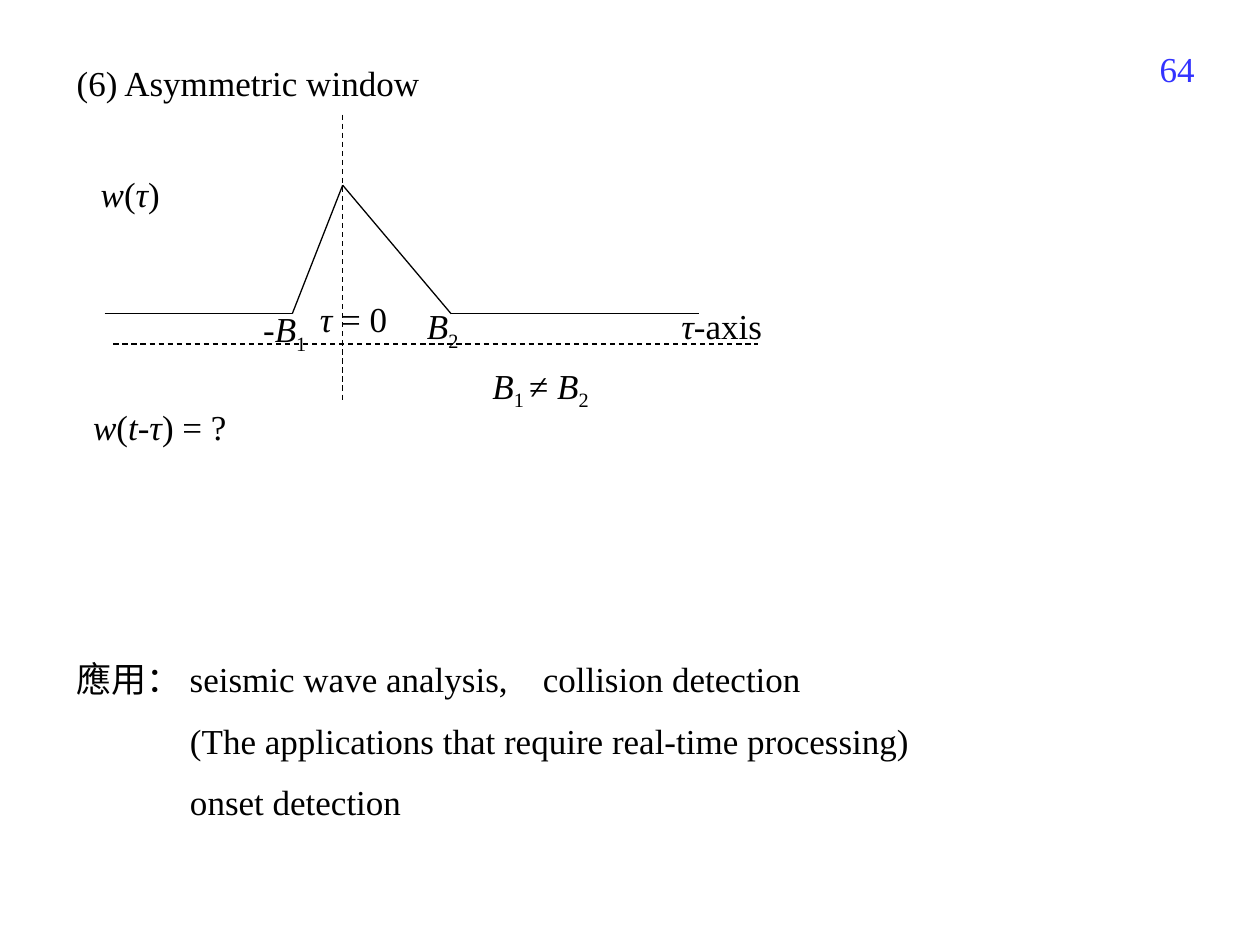
"""Build the slide on the asymmetric window."""
import itertools
from dataclasses import dataclass

import pptx
import pptx.dml.color
import pptx.enum.dml
import pptx.enum.shapes
import pptx.enum.text
import pptx.oxml
import pptx.oxml.ns
import pptx.util

Inches = pptx.util.Inches
Align = pptx.enum.text.PP_ALIGN
Anchor = pptx.enum.text.MSO_ANCHOR
Dash = pptx.enum.dml.MSO_LINE


@dataclass(frozen=True)
class Theme:
    """Colours, type and line sizes of the slide."""

    font: str = "Times New Roman"
    size: float = 20
    ink: str = "000000"
    number: str = "3333FF"
    line: float = 0.75
    paragraph_gap: float = 11.2


THEME = Theme()


def colour(code):
    """Return the colour for a hex code."""
    return pptx.dml.color.RGBColor.from_string(code)


def add_text(page, box, *lines, ink=THEME.ink, align=Align.LEFT,
             anchor=Anchor.TOP, indent=0, tab=None):
    """Place lines of text; *x* is italic, _x_ subscript; indent skips the first line."""
    frame = page.shapes.add_textbox(*map(Inches, box)).text_frame
    frame.word_wrap = True
    frame.vertical_anchor = anchor
    for index, line in enumerate(lines):
        para = frame.paragraphs[0] if index == 0 else frame.add_paragraph()
        para.alignment = align
        properties = para._p.get_or_add_pPr()
        if index:
            para.space_before = pptx.util.Pt(THEME.paragraph_gap)
            properties.set("marL", str(Inches(indent)))
        elif tab:
            stops = pptx.oxml.parse_xml(
                f'<a:tabLst {pptx.oxml.ns.nsdecls("a")}>'
                f'<a:tab pos="{Inches(tab)}" algn="l"/></a:tabLst>')
            properties.append(stops)
        add_spans(para, line, ink)


def add_spans(para, line, ink):
    """Add the plain, italic and subscript spans of one marked line."""
    for i, part in enumerate(line.split("*")):
        for j, text in enumerate(part.split("_")):
            if not text:
                continue
            span = para.add_run()
            span.text = text
            span.font.name = THEME.font
            span.font.size = pptx.util.Pt(THEME.size)
            span.font.italic = i % 2 == 1
            span.font.color.rgb = colour(ink)
            if j % 2:
                span._r.get_or_add_rPr().set("baseline", "-25000")


def add_line(page, start, end, dash=None):
    """Draw a thin straight line between two points."""
    line = page.shapes.add_connector(
        pptx.enum.shapes.MSO_CONNECTOR.STRAIGHT, *map(Inches, (*start, *end)))
    line.line.color.rgb = colour(THEME.ink)
    line.line.width = pptx.util.Pt(THEME.line)
    if dash:
        line.line.dash_style = dash
    line._element.spPr.append(
        pptx.oxml.parse_xml(f'<a:effectLst {pptx.oxml.ns.nsdecls("a")}/>'))


def add_header(page, box):
    """Place the heading and the page number."""
    left, top, width, height = box
    add_text(page, (left + width - 0.88, top, 0.88, 0.52), "64",
             ink=THEME.number, align=Align.RIGHT, anchor=Anchor.MIDDLE)
    add_text(page, (left, top + 0.16, 6.77, 0.43), "(6) Asymmetric window")


def add_window_plot(page, box):
    """Draw the asymmetric window, its axes and its labels."""
    left, top, width, height = box
    base, peak_x = top + 1.58, left + 2.08
    outline = [(left + 0.19, base), (left + 1.68, base), (peak_x, top + 0.56),
               (left + 2.94, base), (left + 4.91, base)]
    for start, end in itertools.pairwise(outline):
        add_line(page, start, end)
    axis = base + 0.24
    add_line(page, (peak_x, top), (peak_x, top + 2.29), Dash.DASH)
    add_line(page, (left + 0.26, axis), (left + 5.38, axis), Dash.DASH)
    labels = [
        (1.80, 1.40, 1.02, "*τ* = 0"),
        (4.67, 1.46, 1.02, "*τ*-axis"),
        (1.35, 1.48, 0.57, "-*B*_1_"),
        (2.65, 1.46, 1.02, "*B*_2_"),
        (3.17, 1.93, 1.12, "*B*_1 _≠ *B*_2_"),
        (0.06, 0.41, 1.02, "*w*(*τ*)"),
        (0.00, 2.26, 1.50, "*w*(*t*-*τ*) = ?"),
    ]
    for x, y, label_width, text in labels:
        add_text(page, (left + x, top + y, label_width, 0.43), text)


def add_applications(page, box):
    """List the applications, aligned after the lead word."""
    add_text(page, box,
             "應用： seismic wave analysis,\tcollision detection",
             "(The applications that require real-time processing)",
             "onset detection",
             indent=0.9, tab=3.7)


def main():
    """Build and save the deck."""
    deck = pptx.Presentation()
    deck.slide_width, deck.slide_height = Inches(10), Inches(7.5)
    page = deck.slides.add_slide(deck.slide_layouts[6])
    add_header(page, (0.51, 0.28, 9.07, 0.59))
    add_window_plot(page, (0.64, 0.91, 5.69, 2.70))
    add_applications(page, (0.51, 5.17, 6.93, 1.95))
    deck.save("out.pptx")


if __name__ == "__main__":
    main()
